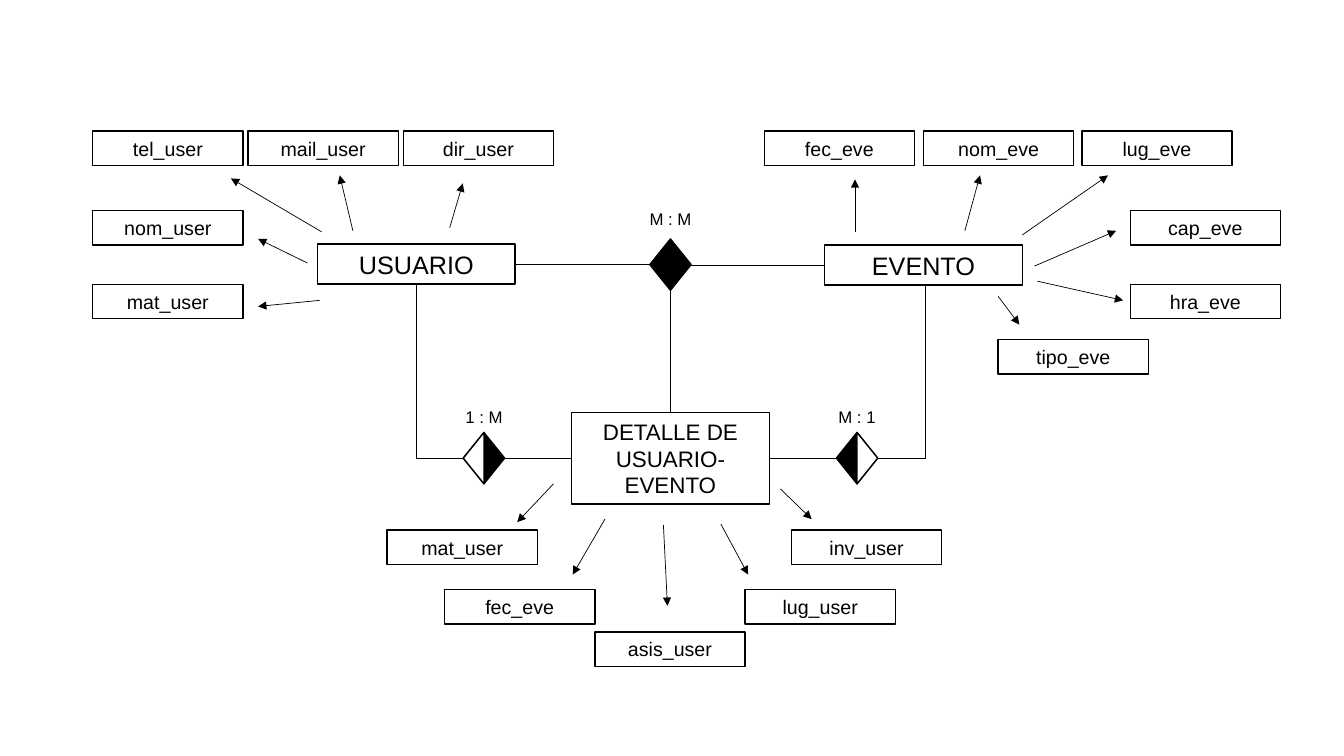
from lxml import etree
from pptx import Presentation
from pptx.dml.color import RGBColor
from pptx.enum.shapes import MSO_CONNECTOR, MSO_SHAPE
from pptx.enum.text import MSO_ANCHOR, PP_ALIGN
from pptx.oxml.ns import qn
from pptx.util import Inches, Pt

RECT, KITE, HALF = MSO_SHAPE.RECTANGLE, MSO_SHAPE.DIAMOND, MSO_SHAPE.ISOSCELES_TRIANGLE
STRAIGHT, CENTER, MIDDLE = MSO_CONNECTOR.STRAIGHT, PP_ALIGN.CENTER, MSO_ANCHOR.MIDDLE
THEME = {
    "font": "Arial", "ink": RGBColor(0, 0, 0), "paper": RGBColor(255, 255, 255),
    "edge": 1, "link": 0.5, "entity": 18, "detail": 16, "field": 14, "label": 12,
}

# Content: entities as name, left, top, width, height, type size
USER = ("USUARIO", 3.15, 2.42, 1.96, 0.4, "entity")
EVENT = ("EVENTO", 8.18, 2.43, 1.96, 0.4, "entity")
DETAIL = ("DETALLE DE USUARIO-EVENTO", 5.67, 4.09, 1.96, 0.91, "detail")

# Fields by row: top, then name, left, arrow start, arrow end
FIELDS = {
    1.3: [
        ("tel_user", 0.92, (3.19, 2.3), (2.29, 1.77)),
        ("mail_user", 2.46, (3.5, 2.29), (3.37, 1.74)),
        ("dir_user", 4.0, (4.46, 2.26), (4.59, 1.82)),
        ("fec_eve", 7.58, (8.48, 2.3), (8.48, 1.78)),
        ("nom_eve", 9.16, (9.57, 2.29), (9.72, 1.74)),
        ("lug_eve", 10.73, (10.14, 2.33), (10.99, 1.74)),
    ],
    2.09: [
        ("nom_user", 0.92, (3.05, 2.61), (2.56, 2.37)),
        ("cap_eve", 11.21, (10.26, 2.64), (11.07, 2.29)),
    ],
    2.82: [
        ("mat_user", 0.92, (3.17, 2.98), (2.56, 3.04)),
        ("hra_eve", 11.21, (10.29, 2.79), (11.14, 2.98)),
    ],
    3.37: [("tipo_eve", 9.9, (9.9, 2.94), (10.11, 3.22))],
    5.26: [
        ("mat_user", 3.84, (5.49, 4.8), (5.13, 5.18)),
        ("inv_user", 7.85, (7.74, 4.85), (8.05, 5.15)),
    ],
    5.85: [
        ("fec_eve", 4.41, (6, 5.15), (5.68, 5.7)),
        ("lug_user", 7.39, (7.15, 5.2), (7.42, 5.7)),
    ],
    6.27: [("asis_user", 5.9, (6.58, 5.21), (6.62, 6.01))],
}
FIELD_W, FIELD_H = 1.49, 0.34
KITE_W, KITE_H = 0.41, 0.51
LABEL_W, LABEL_H = 0.69, 0.3

deck = Presentation()
deck.slide_width, deck.slide_height = Inches(13.33), Inches(7.5)
slide = deck.slides.add_slide(deck.slide_layouts[6])


def write(shape, text, size):
    frame = shape.text_frame
    frame.word_wrap = True
    para = frame.paragraphs[0]
    para.alignment = CENTER
    run = para.add_run()
    run.text = text
    run.font.name, run.font.size = THEME["font"], Pt(THEME[size])
    run.font.color.rgb = THEME["ink"]


def draw(kind, x, y, w, h, fill="paper"):
    shape = slide.shapes.add_shape(kind, *map(Inches, (x, y, w, h)))
    shape.shadow.inherit = False
    shape.fill.solid()
    shape.fill.fore_color.rgb = THEME[fill]
    shape.line.color.rgb = THEME["ink"]
    shape.line.width = Pt(THEME["edge"])
    return shape


def box(text, x, y, w, h, size):
    shape = draw(RECT, x, y, w, h)
    shape.text_frame.vertical_anchor = MIDDLE
    write(shape, text, size)


def link(start, end, arrow=False):
    line = slide.shapes.add_connector(STRAIGHT, *map(Inches, (*start, *end)))
    line.line.color.rgb = THEME["ink"]
    line.line.width = Pt(THEME["link"])
    props = line.line._get_or_add_ln()
    if arrow:
        etree.SubElement(props, qn("a:tailEnd"), type="triangle")
    etree.SubElement(props.getparent(), qn("a:effectLst"))


def kite(x, y, text, lift):
    draw(KITE, x - KITE_W / 2, y - KITE_H / 2, KITE_W, KITE_H, "ink")
    label = slide.shapes.add_textbox(
        *map(Inches, (x - LABEL_W / 2, y - lift, LABEL_W, LABEL_H)))
    write(label, text, "label")


def core(item):
    _, x, y, w, h, _ = item
    return x + w / 2, y + h / 2


# Entities
for item in (USER, EVENT, DETAIL):
    box(*item)

# Relation at the top
mid, low = core(DETAIL)
top = (core(USER)[1] + core(EVENT)[1]) / 2
kite(mid, top, "M : M", 0.6)
link((USER[1] + USER[3], core(USER)[1]), (mid - KITE_W / 2, core(USER)[1]))
link((mid + KITE_W / 2, core(EVENT)[1]), (EVENT[1], core(EVENT)[1]))
link((mid, top + KITE_H / 2), (mid, DETAIL[2]))

# Mirrored relations: side, entity, drop line, label
for side, item, drop, text in ((-1, USER, 4.13, "1 : M"), (1, EVENT, 9.18, "M : 1")):
    hub = mid + side * 1.85
    kite(hub, low, text, 0.56)
    half = draw(HALF, hub + side * KITE_W / 4 - KITE_H / 2, low - KITE_W / 4,
                KITE_H, KITE_W / 2)
    half.rotation = side * 90 % 360
    link((hub - side * KITE_W / 2, low), (mid + side * DETAIL[3] / 2, low))
    link((hub + side * KITE_W / 2, low), (drop, low))
    link((drop, item[2] + item[4]), (drop, low))

# Fields and their arrows
for y, row in FIELDS.items():
    for name, x, start, end in row:
        box(name, x, y, FIELD_W, FIELD_H, "field")
        link(start, end, arrow=True)

deck.save("out.pptx")
